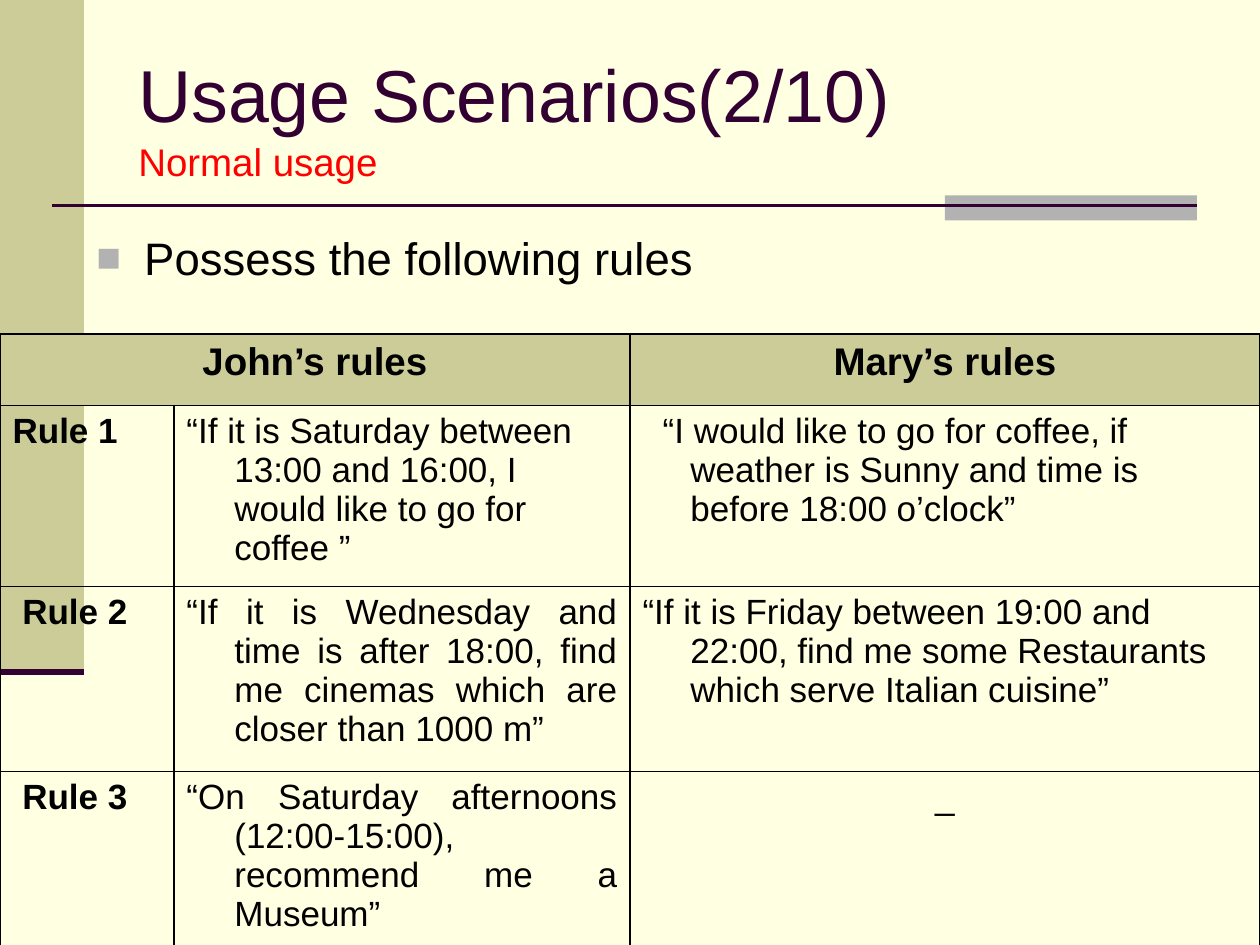
from lxml.etree import SubElement
from pptx import Presentation
from pptx.dml.color import RGBColor
from pptx.enum.shapes import MSO_CONNECTOR, MSO_SHAPE
from pptx.enum.text import MSO_ANCHOR, PP_ALIGN
from pptx.oxml.ns import qn
from pptx.util import Inches, Pt

THEME = {
    "font": "Arial",
    "paper": "FFFFE1",
    "olive": "CCCC99",
    "grey": "B2B2B2",
    "plum": "330033",
    "red": "FF0000",
    "black": "000000",
    "title": 42,
    "subtitle": 22,
    "body": 26,
    "header": 22,
    "cell": 20,
}
UNIT = Inches(10) // 120
HANG = 4.56
SHORT_HANG = 2.64


def grid(*cells):
    return [round(cell * UNIT) for cell in cells]


def write(paragraph, text, size, color="black", bold=False):
    run = paragraph.add_run()
    run.text = text
    run.font.name = THEME["font"]
    run.font.size = Pt(THEME[size])
    run.font.bold = bold
    run.font.color.rgb = RGBColor.from_string(THEME[color])


deck = Presentation()
deck.slide_width, deck.slide_height = grid(120, 90)
slide = deck.slides.add_slide(deck.slide_layouts[6])
slide.background.fill.solid()
slide.background.fill.fore_color.rgb = RGBColor.from_string(THEME["paper"])

for place, color in [((0, 0, 8, 64), "olive"), ((90, 18.6, 24, 2.4), "grey")]:
    band = slide.shapes.add_shape(MSO_SHAPE.RECTANGLE, *grid(*place))
    band.shadow.inherit = False
    band.fill.solid()
    band.fill.fore_color.rgb = RGBColor.from_string(THEME[color])
    band.line.fill.background()

for ends, weight in [((5, 19.6, 114, 19.6), 1.5), ((0, 64, 8, 64), 3.5)]:
    rule_line = slide.shapes.add_connector(MSO_CONNECTOR.STRAIGHT, *grid(*ends))
    rule_line.line.color.rgb = RGBColor.from_string(THEME["plum"])
    rule_line.line.width = Pt(weight)
    SubElement(rule_line._element.spPr, qn("a:effectLst"))

heading = slide.shapes.add_textbox(*grid(12, 3.6, 102, 15)).text_frame
heading.word_wrap = True
heading.vertical_anchor = MSO_ANCHOR.MIDDLE
heading_line = heading.paragraphs[0]
write(heading_line, "Usage Scenarios(2/10)", "title", "plum")
heading_line.add_line_break()
write(heading_line, "Normal usage", "subtitle", "red")

intro = slide.shapes.add_textbox(*grid(8, 21.36, 102, 7)).text_frame
intro.word_wrap = True
intro_line = intro.paragraphs[0]
intro_line.space_before = Pt(5)
bullet = intro_line._p.get_or_add_pPr()
bullet.set("marL", str(grid(HANG)[0]))
bullet.set("indent", str(-grid(HANG)[0]))
bullet_color = SubElement(bullet, qn("a:buClr"))
SubElement(bullet_color, qn("a:srgbClr"), val=THEME["grey"])
SubElement(bullet, qn("a:buSzPct"), val="90000")
SubElement(bullet, qn("a:buFont"), typeface=THEME["font"])
SubElement(bullet, qn("a:buChar"), char="■")
write(intro_line, "Possess the following rules", "body")

LEFT, CENTER, JUSTIFY = PP_ALIGN.LEFT, PP_ALIGN.CENTER, PP_ALIGN.JUSTIFY
column_widths = grid(16.56, 43.44, 60)
row_heights = grid(6.84, 14.28, 17.64, 17.04)
rules = [
    [("John’s rules", CENTER), ("", CENTER), ("Mary’s rules", CENTER)],
    [
        ("Rule 1", JUSTIFY),
        ("“If it is Saturday between 13:00 and 16:00, I would like to go for coffee ”", LEFT),
        ("“I would like to go for coffee, if weather is Sunny and time is before 18:00 o’clock”", LEFT),
    ],
    [
        (" Rule 2", JUSTIFY),
        ("“If it is Wednesday and time is after 18:00, find me cinemas which are closer than 1000 m”", JUSTIFY),
        ("“If it is Friday between 19:00 and 22:00, find me some Restaurants which serve Italian cuisine”", LEFT),
    ],
    [
        (" Rule 3", JUSTIFY),
        ("“On Saturday afternoons (12:00-15:00), recommend me a Museum”", JUSTIFY),
        ("_", CENTER),
    ],
]

rules_table = slide.shapes.add_table(4, 3, *grid(0, 31.8, 120, 55.8)).table
rules_table.first_row = False
rules_table.horz_banding = False
for column, width in zip(rules_table.columns, column_widths):
    column.width = width
for row, height in zip(rules_table.rows, row_heights):
    row.height = height
rules_table.cell(0, 0).merge(rules_table.cell(0, 1))

for r, rule in enumerate(rules):
    for c, (wording, alignment) in enumerate(rule):
        cell = rules_table.cell(r, c)
        borders = cell._tc.get_or_add_tcPr()
        for side in ("lnL", "lnR", "lnT", "lnB"):
            border = SubElement(borders, qn(f"a:{side}"), w=str(Pt(1)))
            border_fill = SubElement(border, qn("a:solidFill"))
            SubElement(border_fill, qn("a:srgbClr"), val=THEME["black"])
        if r == 0:
            cell.fill.solid()
            cell.fill.fore_color.rgb = RGBColor.from_string(THEME["olive"])
        else:
            cell.fill.background()
        if wording:
            cell_line = cell.text_frame.paragraphs[0]
            cell_line.alignment = alignment
            first_indent = SHORT_HANG if (r, c) == (1, 2) else HANG
            indents = cell_line._p.get_or_add_pPr()
            indents.set("marL", str(grid(HANG)[0]))
            indents.set("indent", str(-grid(first_indent)[0]))
            write(cell_line, wording, "cell" if r else "header", bold=r == 0 or c == 0)

deck.save("out.pptx")
